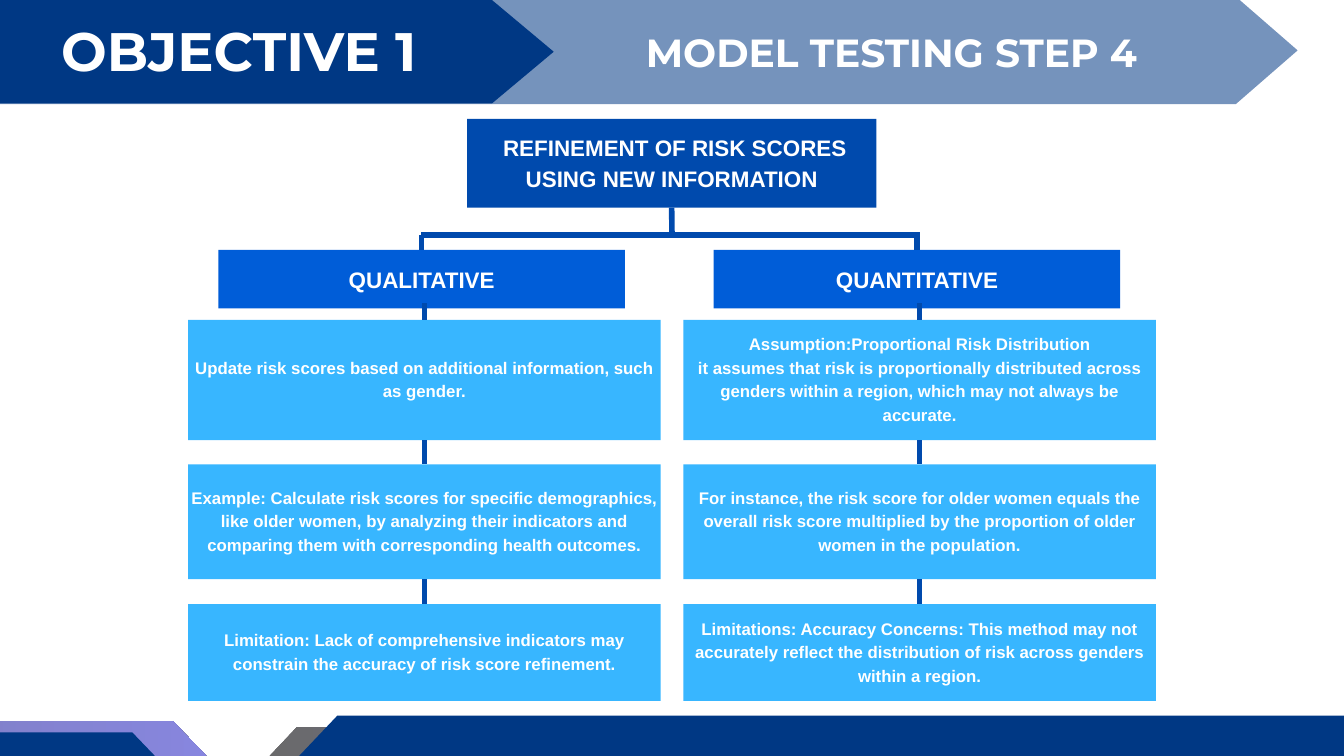
from dataclasses import dataclass
from itertools import pairwise
from typing import Optional

from lxml import etree
from pptx import Presentation
from pptx.dml.color import RGBColor
from pptx.enum.shapes import MSO_CONNECTOR, MSO_SHAPE
from pptx.enum.text import MSO_ANCHOR, MSO_AUTO_SIZE, PP_ALIGN
from pptx.oxml.ns import qn
from pptx.util import Inches, Pt

RECTANGLE = MSO_SHAPE.RECTANGLE
STRAIGHT = MSO_CONNECTOR.STRAIGHT
MIDDLE = MSO_ANCHOR.MIDDLE
GROW = MSO_AUTO_SIZE.SHAPE_TO_FIT_TEXT
LEFT, CENTER = PP_ALIGN.LEFT, PP_ALIGN.CENTER

WHITE = RGBColor(0xFF, 0xFF, 0xFF)
BLACK = RGBColor(0x00, 0x00, 0x00)
NAVY = RGBColor(0x00, 0x38, 0x84)
VIOLET = RGBColor(0x35, 0x33, 0xCD)
ROYAL = RGBColor(0x00, 0x4A, 0xAD)
BLUE = RGBColor(0x00, 0x5D, 0xD8)
SKY = RGBColor(0x38, 0xB6, 0xFF)

TOP, BOTTOM = 0, 2
BUS_Y = 3.5
CARD_ROWS = [(4.76, 1.79), (6.91, 1.71), (8.99, 1.44)]


@dataclass
class Arrow:
    base: float
    top: float
    shoulder: float
    tip: float
    height: float
    colors: tuple[RGBColor, ...]
    opacity: Optional[int] = None


@dataclass
class Title:
    text: str
    left: float
    top: float
    width: float
    height: float
    size: int
    align: PP_ALIGN


@dataclass
class Column:
    left: float
    bus_end: float
    header: str
    cards: list[str]


ARROWS = [
    Arrow(23.3, 10.82, 4.42, 3.5, 1.94, (BLACK, VIOLET), 58),
    Arrow(22.7, 10.65, 5.02, 4.1, 1.94, (NAVY,)),
    Arrow(-16.31, 10.73, 2.57, 3.5, 1.94, (BLACK, VIOLET), 58),
    Arrow(-15.71, 10.9, 1.97, 2.9, 1.94, (NAVY,)),
    Arrow(-0.8, -0.05, 18.39, 19.31, 1.6, (NAVY,), 54),
    Arrow(-0.51, 0, 7.32, 8.24, 1.54, (NAVY,)),
]

TITLES = [
    Title("OBJECTIVE 1", 0.91, 0.18, 5.59, 1.02, 58, LEFT),
    Title("MODEL TESTING STEP 4", 8.38, 0.37, 9.77, 0.73, 42, CENTER),
]

COLUMNS = [
    Column(2.8, 6.27, "QUALITATIVE", [
        "Update risk scores based on additional information, such as gender.",
        "Example: Calculate risk scores for specific demographics, like older women, "
        "by analyzing their indicators and comparing them with corresponding health outcomes.",
        "Limitation: Lack of comprehensive indicators may constrain the accuracy "
        "of risk score refinement.",
    ]),
    Column(10.17, 13.69, "QUANTITATIVE", [
        "Assumption:Proportional Risk Distribution\n"
        "it assumes that risk is proportionally distributed across genders "
        "within a region, which may not always be accurate.",
        "For instance, the risk score for older women equals the overall risk score "
        "multiplied by the proportion of older women in the population.",
        "Limitations: Accuracy Concerns: This method may not accurately reflect "
        "the distribution of risk across genders within a region.",
    ]),
]


def set_opacity(sp, percent: int) -> None:
    for color in sp.fill._xPr.iter(qn("a:srgbClr")):
        etree.SubElement(color, qn("a:alpha")).set("val", str(percent * 1000))


def draw_arrow(s, arrow: Arrow) -> None:
    bottom = arrow.top + arrow.height
    middle = arrow.top + arrow.height / 2
    outline = [(arrow.base, arrow.top), (arrow.base, bottom),
               (arrow.shoulder, bottom), (arrow.tip, middle)]
    builder = s.shapes.build_freeform(Inches(arrow.shoulder), Inches(arrow.top))
    builder.add_line_segments([(Inches(x), Inches(y)) for x, y in outline])
    sp = builder.convert_to_shape()
    sp.shadow.inherit = False
    sp.line.fill.background()
    if len(arrow.colors) > 1:
        sp.fill.gradient()
        sp.fill.gradient_angle = 0
        for stop, color in zip(sp.fill.gradient_stops, arrow.colors):
            stop.color.rgb = color
    else:
        sp.fill.solid()
        sp.fill.fore_color.rgb = arrow.colors[0]
    if arrow.opacity:
        set_opacity(sp, arrow.opacity)


def write(tf, text: str, size: int, font: str, spacing: float, align: PP_ALIGN) -> None:
    tf.text = text
    tf.word_wrap = True
    for p in tf.paragraphs:
        p.alignment = align
        p.line_spacing = Pt(size * spacing)
        for r in p.runs:
            r.font.size = Pt(size)
            r.font.name = font
            r.font.bold = True
            r.font.color.rgb = WHITE


def draw_title(s, title: Title) -> None:
    sp = s.shapes.add_textbox(Inches(title.left), Inches(title.top),
                              Inches(title.width), Inches(title.height))
    tf = sp.text_frame
    tf.margin_left = tf.margin_right = tf.margin_top = tf.margin_bottom = 0
    write(tf, title.text, title.size, "Montserrat", 1.3, title.align)
    tf.auto_size = GROW


def draw_box(s, left: float, top: float, width: float, height: float,
             text: str, color: RGBColor, size: int):
    sp = s.shapes.add_shape(RECTANGLE, Inches(left), Inches(top),
                            Inches(width), Inches(height))
    sp.shadow.inherit = False
    sp.fill.solid()
    sp.fill.fore_color.rgb = color
    sp.line.fill.background()
    tf = sp.text_frame
    tf.margin_left = tf.margin_right = tf.margin_top = Inches(0.03)
    tf.margin_bottom = Inches(0.1)
    tf.vertical_anchor = MIDDLE
    write(tf, text, size, "Arial", 1.4, CENTER)
    return sp


def draw_line(s, x1: float, y1: float, x2: float, y2: float, above=None, below=None) -> None:
    line = s.shapes.add_connector(STRAIGHT, Inches(x1), Inches(y1), Inches(x2), Inches(y2))
    line.line.color.rgb = ROYAL
    line.line.width = Pt(6)
    etree.SubElement(line._element.spPr, qn("a:effectLst"))
    if above is not None:
        line.begin_connect(above, BOTTOM)
    if below is not None:
        line.end_connect(below, TOP)


def draw_column(s, column: Column) -> None:
    header_left = column.left + 0.45
    header_mid = header_left + 6.05 / 2
    card_mid = column.left + 7.03 / 2
    header = draw_box(s, header_left, 3.72, 6.05, 0.87, column.header, BLUE, 24)
    draw_line(s, 10, BUS_Y, column.bus_end, BUS_Y)
    draw_line(s, header_mid, BUS_Y, header_mid, 3.72, below=header)
    cards = [draw_box(s, column.left, top, 7.03, height, text, SKY, 18)
             for (top, height), text in zip(CARD_ROWS, column.cards)]
    draw_line(s, card_mid, 4.51, card_mid, 4.76, below=cards[0])
    for above, below in pairwise(cards):
        draw_line(s, 0, 0, 0, 0, above, below)


def main() -> None:
    prs = Presentation()
    prs.slide_width = Inches(20)
    prs.slide_height = Inches(11.25)
    s = prs.slides.add_slide(prs.slide_layouts[6])
    for arrow in ARROWS:
        draw_arrow(s, arrow)
    for title in TITLES:
        draw_title(s, title)
    root = draw_box(s, 6.95, 1.77, 6.09, 1.32,
                    " REFINEMENT OF RISK SCORES USING NEW INFORMATION", ROYAL, 24)
    draw_line(s, 10, 3.09, 10, BUS_Y, above=root)
    for column in COLUMNS:
        draw_column(s, column)
    prs.save("out.pptx")


if __name__ == "__main__":
    main()
